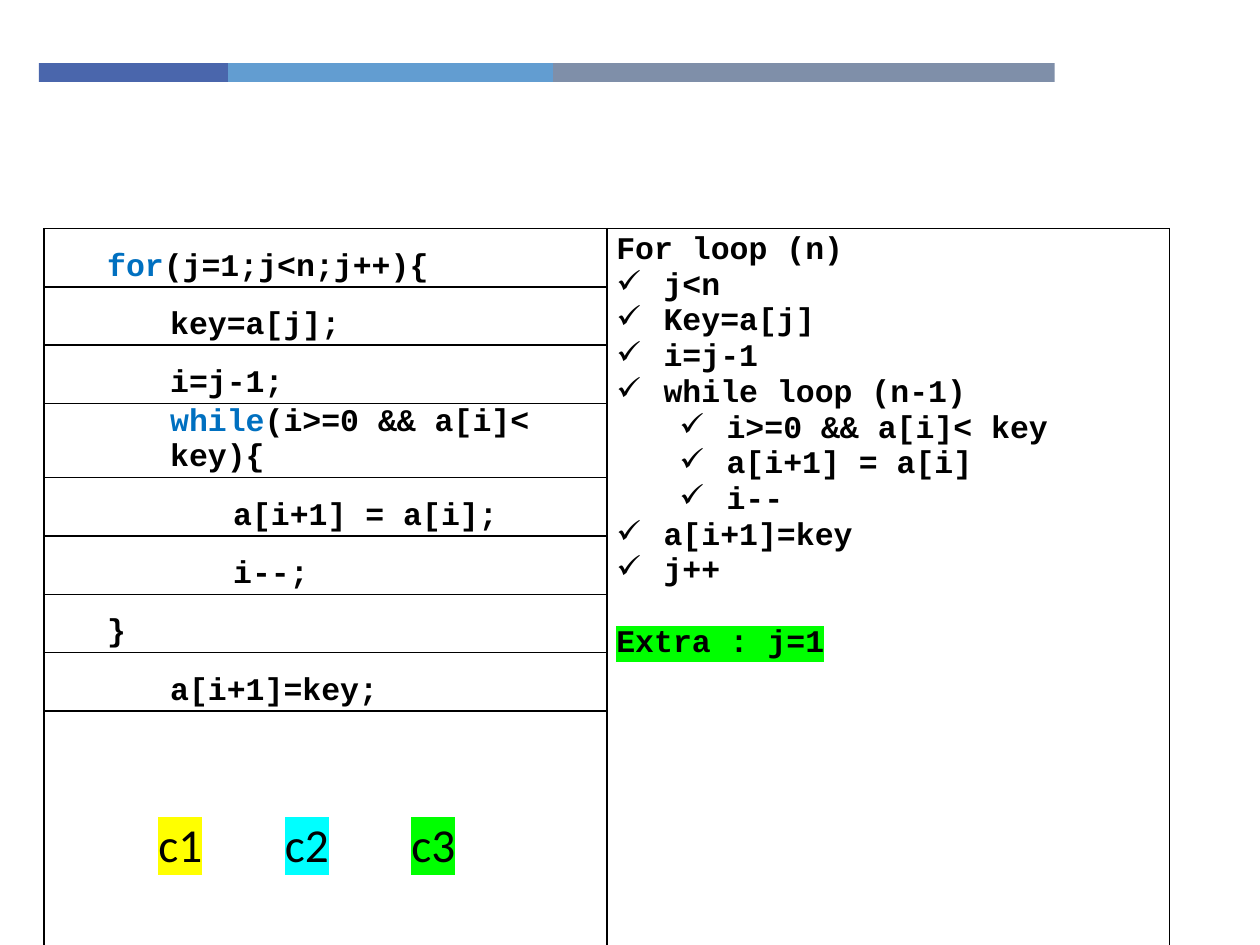
from lxml.etree import SubElement
from pptx import Presentation
from pptx.dml.color import RGBColor
from pptx.enum.shapes import MSO_SHAPE
from pptx.enum.text import MSO_ANCHOR, MSO_AUTO_SIZE
from pptx.oxml.ns import qn
from pptx.util import Pt

CODE_LINES = [
    (1, [("for", "0070C0"), ("(j=1;j<n;j++){", "000000")]),
    (2, [("key=a[j];", "000000")]),
    (2, [("i=j-1;", "000000")]),
    (2, [("while", "0070C0"), ("(i>=0 && a[i]< key){", "000000")]),
    (3, [("a[i+1] = a[i];", "000000")]),
    (3, [("i--;", "000000")]),
    (1, [("}", "000000")]),
    (2, [("a[i+1]=key;", "000000")]),
    (0, [("}", "000000")]),
]
STEPS = [
    (0, "j<n"),
    (0, "Key=a[j]"),
    (0, "i=j-1"),
    (0, "while loop (n-1)"),
    (1, "i>=0 && a[i]< key"),
    (1, "a[i+1] = a[i]"),
    (1, "i--"),
    (0, "a[i+1]=key"),
    (0, "j++"),
]
BARS = [(108, "4A66AC"), (185.8, "629DD1"), (286.6, "7F8FA9")]
LABELS = [("c1", "FFFF00"), ("c2", "00FFFF"), ("c3", "00FF00")]


def color(value):
    return RGBColor.from_string(value)


class SlideBuilder:
    code_font = "Courier New"
    label_font = "Calibri"
    code_size = 18
    label_size = 27
    text_color = "000000"
    level_indent = 36
    bullet_indent = 27

    def __init__(self, slide):
        self.slide = slide

    def add_run(self, paragraph, text, font, size, fill, bold=False, highlight=None):
        run = paragraph.add_run()
        run.text = text
        run.font.name = font
        run.font.size = Pt(size)
        run.font.bold = bold
        run.font.color.rgb = color(fill)
        if highlight:
            properties = run.font._element
            element = SubElement(properties, qn("a:highlight"))
            SubElement(element, qn("a:srgbClr"), val=highlight)
            properties.find(qn("a:solidFill")).addnext(element)

    def add_code(self, paragraph, text, fill=text_color, highlight=None):
        self.add_run(paragraph, text, self.code_font, self.code_size, fill, True, highlight)

    def indent(self, paragraph, level, bullet=None):
        paragraph.level = level
        hanging = self.bullet_indent if bullet else 0
        properties = paragraph._p.get_or_add_pPr()
        properties.set("marL", str(Pt(level * self.level_indent + hanging)))
        properties.set("indent", str(-Pt(hanging)))
        if bullet:
            SubElement(properties, qn("a:buChar"), char=bullet)

    def add_bar(self, left, top, width, height, fill):
        shape = self.slide.shapes.add_shape(
            MSO_SHAPE.RECTANGLE, Pt(left), Pt(top), Pt(width), Pt(height))
        shape.shadow.inherit = False
        shape.fill.solid()
        shape.fill.fore_color.rgb = color(fill)
        shape.line.fill.background()

    def add_label(self, left, top, text, highlight):
        shape = self.slide.shapes.add_textbox(Pt(left), Pt(top), Pt(39.6), Pt(40.3))
        frame = shape.text_frame
        frame.word_wrap = False
        frame.auto_size = MSO_AUTO_SIZE.SHAPE_TO_FIT_TEXT
        self.add_run(frame.paragraphs[0], text, self.label_font, self.label_size,
                     self.text_color, highlight=highlight)

    def style_cell(self, cell):
        cell.fill.background()
        properties = cell._tc.get_or_add_tcPr()
        for index, side in enumerate(("lnL", "lnR", "lnT", "lnB")):
            line = SubElement(properties, qn(f"a:{side}"), w=str(Pt(1)))
            fill = SubElement(line, qn("a:solidFill"))
            SubElement(fill, qn("a:srgbClr"), val=self.text_color)
            properties.insert(index, line)

    def add_table(self, left, top, width, height):
        table = self.slide.shapes.add_table(
            len(CODE_LINES), 2, Pt(left), Pt(top), Pt(width), Pt(height)).table
        table.first_row = False
        table.horz_banding = False
        for cell in table.iter_cells():
            self.style_cell(cell)
        table.cell(0, 1).merge(table.cell(len(CODE_LINES) - 1, 1))
        return table

    def fill_code_cell(self, cell, level, parts):
        cell.vertical_anchor = MSO_ANCHOR.BOTTOM
        cell.margin_left = cell.margin_right = 0
        cell.margin_top = cell.margin_bottom = Pt(0.75)
        paragraph = cell.text_frame.paragraphs[0]
        self.indent(paragraph, level)
        for text, fill in parts:
            self.add_code(paragraph, text, fill)

    def fill_steps_cell(self, cell):
        cell.margin_left = cell.margin_right = Pt(5.4)
        cell.margin_top = cell.margin_bottom = Pt(2.7)
        frame = cell.text_frame
        self.add_code(frame.paragraphs[0], "For loop (n)")
        for level, text in STEPS:
            paragraph = frame.add_paragraph()
            self.indent(paragraph, level, "✓")
            self.add_code(paragraph, text)
        paragraph = frame.add_paragraph()
        paragraph.space_before = Pt(20.4)
        self.add_code(paragraph, "Extra : j=1", highlight="00FF00")


def main():
    presentation = Presentation()
    presentation.slide_width = Pt(720)
    presentation.slide_height = Pt(540)
    slide = presentation.slides.add_slide(presentation.slide_layouts[6])
    builder = SlideBuilder(slide)

    left = 22.3
    for width, fill in BARS:
        builder.add_bar(left, 36, width, 10.8, fill)
        left += width

    table = builder.add_table(25.2, 130.6, 643.2, 300.2)
    for row, (level, parts) in enumerate(CODE_LINES):
        builder.fill_code_cell(table.cell(row, 0), level, parts)
    builder.fill_steps_cell(table.cell(0, 1))

    for index, (text, highlight) in enumerate(LABELS):
        builder.add_label(83.4 + index * 72.3, 462.3, text, highlight)

    presentation.save("out.pptx")


if __name__ == "__main__":
    main()
